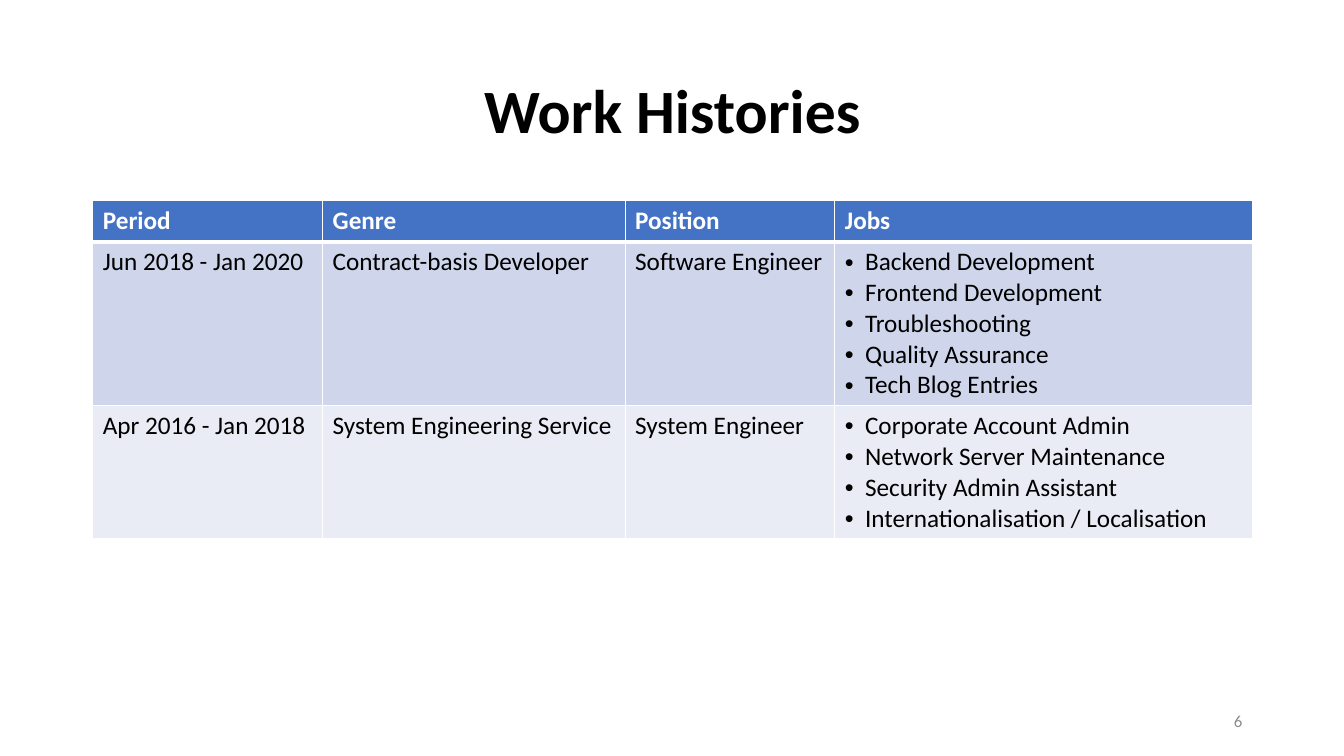
import pptx
import pptx.util
import pptx.enum.text
import pptx.dml.color
import pptx.oxml
import pptx.oxml.ns

WIDE, HIGH = 13.33, 7.5
LEFT, SPAN = 0.92, 11.5
FONT = "Calibri"
HEX = {"ink": "000000", "white": "FFFFFF", "head": "4472C4",
       "odd": "CFD5EA", "even": "E9EBF5", "gray": "8C8C8C"}
COLS = [2.28, 3, 2.08, 4.14]
LINE, STEP = 0.41, 0.3  # first text line with margins, each further line
JOBS = [
    ["Period", "Genre", "Position", "Jobs"],
    ["Jun 2018 - Jan 2020", "Contract-basis Developer", "Software Engineer",
     ["Backend Development", "Frontend Development", "Troubleshooting",
      "Quality Assurance", "Tech Blog Entries"]],
    ["Apr 2016 - Jan 2018", "System Engineering Service", "System Engineer",
     ["Corporate Account Admin", "Network Server Maintenance",
      "Security Admin Assistant", "Internationalisation / Localisation"]],
]
ALIGN = pptx.enum.text.PP_ALIGN
MID = pptx.enum.text.MSO_ANCHOR.MIDDLE
inch = pptx.util.Inches


def tint(name):
    return pptx.dml.color.RGBColor.from_string(HEX[name])


def style(part, size, color, bold=False):
    looks = {"name": FONT, "size": pptx.util.Pt(size), "bold": bold}
    for key, value in looks.items():
        setattr(part.font, key, value)
    part.font.color.rgb = tint(color)


def place(shape, left, top, width, height):
    box = {"left": left, "top": top, "width": width, "height": height}
    for key, value in box.items():
        setattr(shape, key, inch(value))


def node(tag, inner="", **attrs):
    text = " ".join(f'{key}="{value}"' for key, value in attrs.items())
    space = pptx.oxml.ns.nsdecls("a")
    return pptx.oxml.parse_xml(f"<a:{tag} {space} {text}>{inner}</a:{tag}>")


def bullet(para):
    props = para._p.get_or_add_pPr()
    props.set("marL", str(inch(0.2)))
    props.set("indent", str(-inch(0.2)))
    props.append(node("buFont", typeface="Arial"))
    props.append(node("buChar", char="•"))


def edge(cell, widths):
    white = f'<a:solidFill><a:srgbClr val="{HEX["white"]}"/></a:solidFill>'
    for side, width in widths.items():
        line = node("ln" + side, white, w=pptx.util.Pt(width))
        cell._tc.get_or_add_tcPr().append(line)


def write(frame, text, size, color, bold=False, align=None):
    lines = text if isinstance(text, list) else [text]
    for i, line in enumerate(lines):
        para = frame.paragraphs[0] if i == 0 else frame.add_paragraph()
        para.alignment = align
        if isinstance(text, list):
            bullet(para)
        para.add_run().text = line
        style(para.runs[0], size, color, bold)


def title(slide, text):
    head = slide.shapes.title
    place(head, LEFT, 0.4, SPAN, 1.45)
    head.text_frame.vertical_anchor = MID
    write(head.text_frame, text, 44, "ink", True, ALIGN.CENTER)
    head.text_frame.paragraphs[0].line_spacing = 0.9


def number(slide, text):
    box = slide.shapes.add_textbox(0, 0, 0, 0)
    place(box, 9.42, 6.95, 3, 0.4)
    box.text_frame.word_wrap = True
    box.text_frame.vertical_anchor = MID
    write(box.text_frame, text, 12, "gray", align=ALIGN.RIGHT)


def grid(slide, rows):
    counts = [len(row[-1]) if isinstance(row[-1], list) else 1 for row in rows]
    highs = [LINE + STEP * (count - 1) for count in counts]
    table = slide.shapes.add_table(
        len(rows), len(COLS), inch(LEFT), inch(1.99),
        inch(SPAN), inch(sum(highs))).table
    for col, width in zip(table.columns, COLS):
        col.width = inch(width)
    for r, row in enumerate(rows):
        table.rows[r].height = inch(highs[r])
        fill = "head" if r == 0 else ("even", "odd")[r % 2]
        for c, text in enumerate(row):
            cell = table.cell(r, c)
            # The rule under the header is heavier
            edge(cell, {"L": 1, "R": 1, "T": 3 if r == 1 else 1,
                        "B": 3 if r == 0 else 1})
            cell.fill.solid()
            cell.fill.fore_color.rgb = tint(fill)
            write(cell.text_frame, text, 18,
                  "white" if r == 0 else "ink", r == 0)


def main():
    deck = pptx.Presentation()
    deck.slide_width, deck.slide_height = inch(WIDE), inch(HIGH)
    slide = deck.slides.add_slide(deck.slide_layouts[5])
    title(slide, "Work Histories")
    grid(slide, JOBS)
    number(slide, "6")
    deck.save("out.pptx")


if __name__ == "__main__":
    main()
